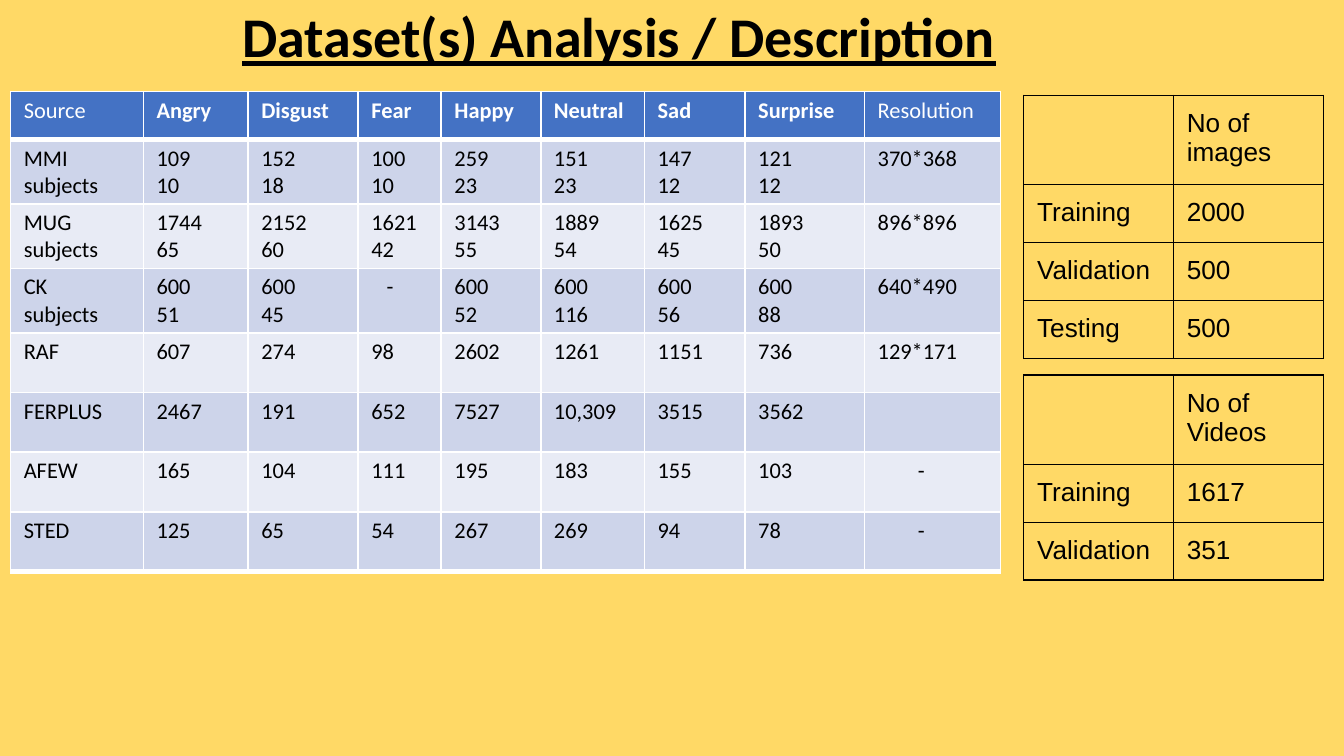
"""Build the dataset description slide with its three tables."""
from lxml import etree
from pptx import Presentation
from pptx.dml.color import RGBColor
from pptx.enum.text import MSO_ANCHOR, PP_ALIGN
from pptx.oxml.ns import qn
from pptx.util import Cm, Pt

BOTTOM = MSO_ANCHOR.BOTTOM
CENTER = PP_ALIGN.CENTER


def paint(item, color):
    item.solid()
    item.fore_color.rgb = RGBColor.from_string(color)


def add_grid(left, top, rows, widths, heights, style):
    frame = slide.shapes.add_table(len(rows), len(widths), Cm(left), Cm(top),
                                   Cm(sum(widths)), Cm(sum(heights)))
    table = frame.table
    table.first_row = table.horz_banding = False
    for col, width in zip(table.columns, widths):
        col.width = Cm(width)
    for i, words in enumerate(rows):
        table.rows[i].height = Cm(heights[i])
        for j, text in enumerate(words):
            cell = table.cell(i, j)
            cell.margin_left = cell.margin_right = Cm(0.25)
            cell.margin_top = cell.margin_bottom = Cm(style["pad"])
            cell.text = text
            for para in cell.text_frame.paragraphs:
                para.font.name, para.font.size = style["font"], Pt(style["size"])
                para.font.bold = False
                paint(para.font.fill, "000000")
            props = cell._tc.get_or_add_tcPr()
            for side in ("lnL", "lnR", "lnT", "lnB"):
                thick = side == "lnB" and i in style["thick"]
                width = Pt(3 if thick else style["line"])
                line = etree.SubElement(props, qn("a:" + side), w=str(width))
                fill = etree.SubElement(line, qn("a:solidFill"))
                etree.SubElement(fill, qn("a:srgbClr"), val=style["edge"])
            cell.fill.background()
    return table


deck = Presentation()
deck.slide_width, deck.slide_height = Cm(25.4), Cm(14.29)
slide = deck.slides.add_slide(deck.slide_layouts[6])
paint(slide.background.fill, "FFD966")

title = slide.shapes.add_textbox(Cm(-0.1), Cm(-0.05), Cm(23.6), Cm(1.5)).text_frame
title.word_wrap = True
title.vertical_anchor = BOTTOM
title.text = "Dataset(s) Analysis / Description"
para = title.paragraphs[0]
para.alignment, para.line_spacing = CENTER, 0.9
para.font.name, para.font.size = "Calibri", Pt(30)
para.font.bold = para.font.underline = True
paint(para.font.fill, "000000")

faces = [
    ["Source", "Angry", "Disgust", "Fear", "Happy", "Neutral", "Sad", "Surprise", "Resolution"],
    ["MMI\nsubjects", "109\n10", "152\n18", "100\n10", "259\n23", "151\n23", "147\n12", "121\n12", "370*368"],
    ["MUG\nsubjects", "1744\n65", "2152\n60", "1621\n42", "3143\n55", "1889\n54", "1625\n45", "1893\n50", "896*896"],
    ["CK\nsubjects", "600\n51", "600\n45", "-", "600\n52", "600\n116", "600\n56", "600\n88", "640*490"],
    ["RAF", "607", "274", "98", "2602", "1261", "1151", "736", "129*171"],
    ["FERPLUS", "2467", "191", "652", "7527", "10,309", "3515", "3562", ""],
    ["AFEW", "165", "104", "111", "195", "183", "155", "103", "-"],
    ["STED", "125", "65", "54", "267", "269", "94", "78", "-"],
]
widths = [2.51, 1.98, 2.08, 1.57, 1.88, 1.96, 1.9, 2.26, 2.57]
style = {"font": "Calibri", "size": 12, "pad": 0.1, "line": 1,
         "edge": "FFFFFF", "thick": (0, len(faces) - 1)}
table = add_grid(0.2, 1.73, faces, widths, [0.91] + [1.13] * 7, style)
for i, words in enumerate(faces):
    for j, text in enumerate(words):
        cell = table.cell(i, j)
        paint(cell.fill, "4472C4" if i == 0 else "CDD4EA" if i % 2 else "E8EBF5")
        if i == 0:
            font = cell.text_frame.paragraphs[0].font
            font.bold = 0 < j < len(words) - 1
            paint(font.fill, "FFFFFF")
        if text == "-":
            cell.margin_left = Cm(0.54 if j == 3 else 1.01)

images = [["", "No of images"], ["Training", "2000"], ["Validation", "500"], ["Testing", "500"]]
videos = [["", "No of Videos"], ["Training", "1617"], ["Validation", "351"]]
style = {"font": "Arial", "size": 14, "pad": 0.25, "line": 0.75,
         "edge": "000000", "thick": ()}
for top, rows in ((1.8, images), (7.09, videos)):
    heights = [1.6] + [1.07] * (len(rows) - 1)
    add_grid(19.35, top, rows, [2.83, 2.83], heights, style)

deck.save("out.pptx")
